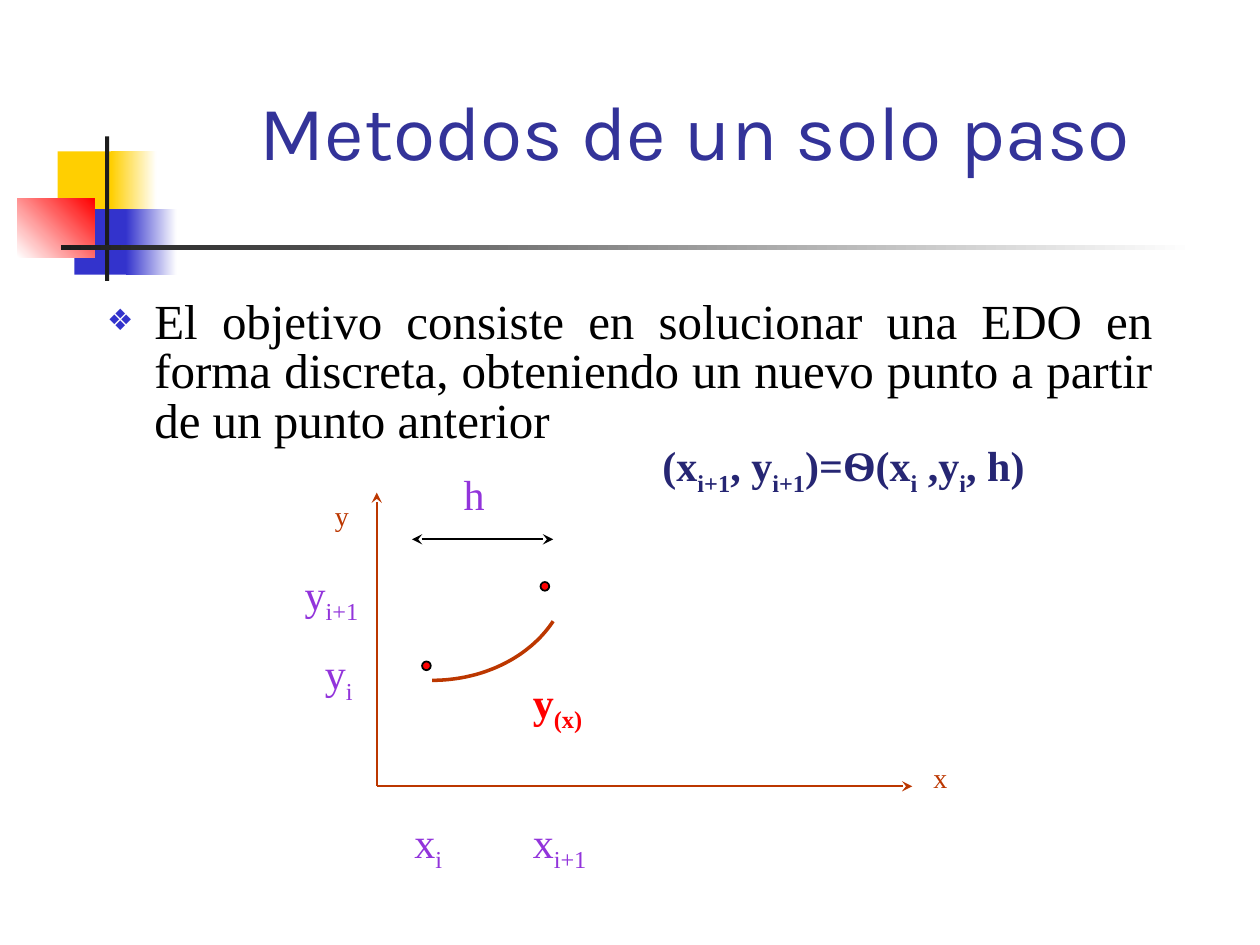
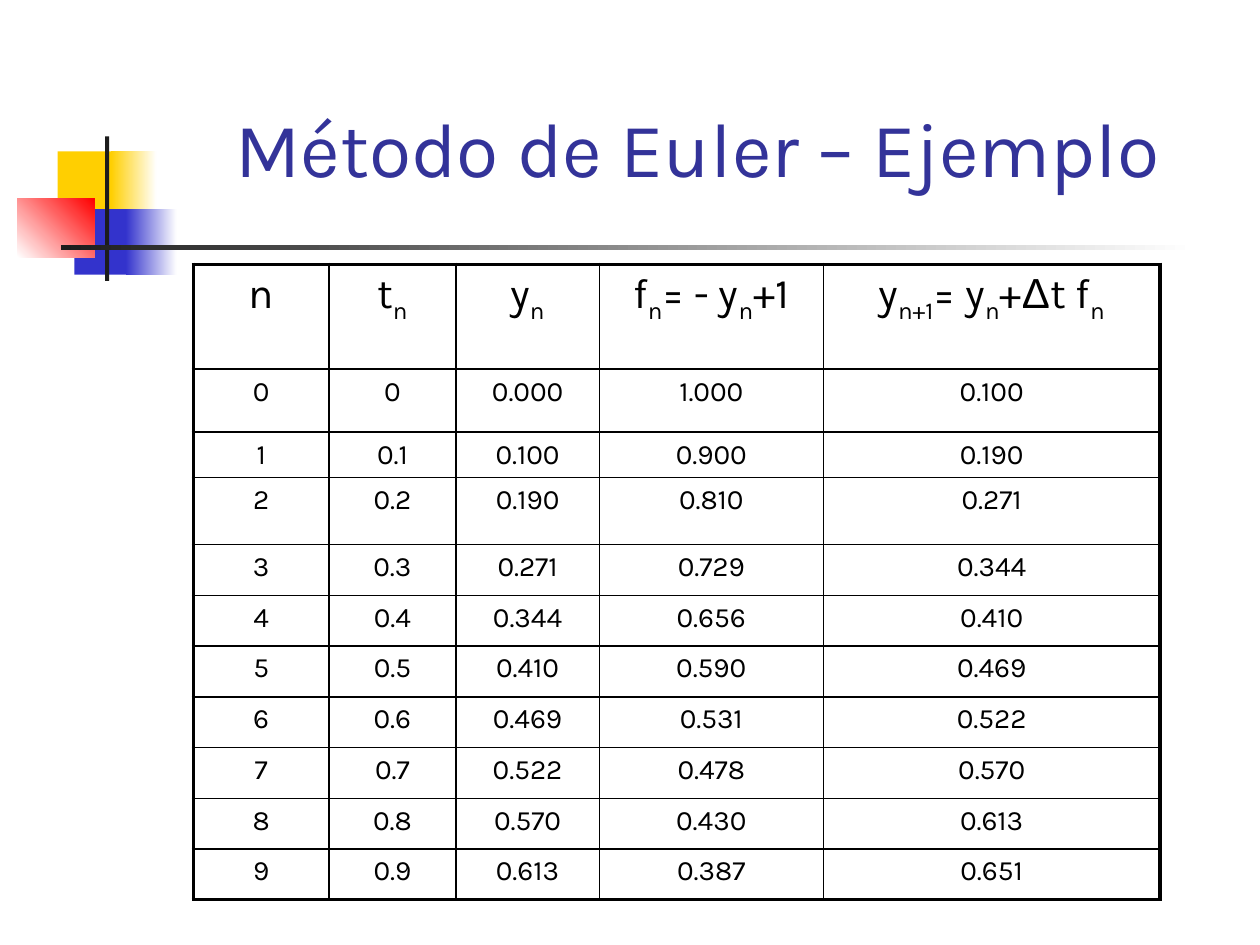
import pptx
import pptx.util
import pptx.dml.color
import pptx.enum.shapes
import pptx.enum.text
import pptx.oxml
import pptx.oxml.ns

Pt = pptx.util.Pt
Shape = pptx.enum.shapes.MSO_SHAPE
Align = pptx.enum.text.PP_ALIGN
Anchor = pptx.enum.text.MSO_ANCHOR
NAMESPACE = pptx.oxml.ns.nsdecls("a")

BLACK, WHITE, INK = "000000", "FFFFFF", "1C1C1C"
YELLOW, BLUE, RED = "FFCF01", "3333CC", "FF0000"
TITLE_BLUE, FORMULA_BLUE = "333399", "262673"
RUST, PURPLE = "BC3700", "9234DB"
SANS, SERIF, SYMBOL = "Karla", "Times New Roman", "Arial"

# Emblem beside every title: left, top, width, height, colours, gradient angle
EMBLEM = [
    (33, 86.5, 34.5, 37.5, [YELLOW], 0),
    (63.5, 86.5, 26, 37.5, [YELLOW, WHITE], 0),
    (42.5, 119.5, 33, 37.5, [BLUE], 0),
    (72, 119.5, 29, 37.5, [BLUE, WHITE], 0),
    (10, 113.5, 44, 33.5, [WHITE, RED], 45),
    (60, 78, 2.4, 82.5, [INK], 0),
    (34.8, 140, 648, 2.8, [INK, WHITE], 0),
]

STEP_TITLE = "Metodos de un solo paso"
OBJECTIVE = ("El objetivo consiste en solucionar una EDO en forma discreta, "
             "obteniendo un nuevo punto a partir de un punto anterior")

# Parts between bars alternate: normal, subscript, normal, ...
# text, left, top, width, height, size, colour, bold
PLOT_LABELS = [
    ("y", 184.3, 281.5, 22.3, 26.6, 16, RUST, False),
    ("x", 526.3, 431.3, 22.3, 26.6, 16, RUST, False),
    ("y|i", 178.6, 366.5, 31, 36.5, 24, PURPLE, False),
    ("h", 257.8, 264.2, 26.6, 36.5, 24, PURPLE, False),
    ("y|i+1", 167, 321.1, 48.2, 36.5, 24, PURPLE, False),
    ("x|i", 229.7, 463, 31, 36.5, 24, PURPLE, False),
    ("x|i+1", 297.4, 463, 48.2, 36.5, 24, PURPLE, False),
    ("y|(x)", 297.4, 383, 45.4, 36.5, 24, RED, True),
    ("(x|i+1|, y|i+1|)=Ѳ(x|i| ,y|i|, h)", 371.5, 247.7, 230.4, 36.5, 24, FORMULA_BLUE, True),
]
ORIGIN = (215.3, 449.3)
# start, end, colour, arrowheads
ARROWS = [
    ((215.3, 281.5), ORIGIN, RUST, ["headEnd"]),
    (ORIGIN, (521.3, 449.3), RUST, ["tailEnd"]),
    ((235.4, 308.2), (316.1, 308.2), BLACK, ["headEnd", "tailEnd"]),
]
POINTS = [(241.2, 378), (308.9, 332.6)]
POINT_SIZE = 5
CURVE_CONTROLS = [(316.1, 355), (302.4, 375.8), (275.8, 388.8), (247, 388.8)]
CURVE_STEPS = 40

EULER_TITLE = "Método de Euler – Ejemplo"
EULER_HEADER = ["n", "t|n", "y|n", "f|n|= - y|n|+1", "y|n+1|= y|n|+Δt f|n"]
EULER_ROWS = [
    ["0", "0", "0.000", "1.000", "0.100"],
    ["1", "0.1", "0.100", "0.900", "0.190"],
    ["2", "0.2", "0.190", "0.810", "0.271"],
    ["3", "0.3", "0.271", "0.729", "0.344"],
    ["4", "0.4", "0.344", "0.656", "0.410"],
    ["5", "0.5", "0.410", "0.590", "0.469"],
    ["6", "0.6", "0.469", "0.531", "0.522"],
    ["7", "0.7", "0.522", "0.478", "0.570"],
    ["8", "0.8", "0.570", "0.430", "0.613"],
    ["9", "0.9", "0.613", "0.387", "0.651"],
]
COLUMN_WIDTHS = [77.5, 72.5, 82, 128, 192.5]
ROW_HEIGHTS = [60, 36, 26, 38.2] + [29] * 7


def rgb(color):
    return pptx.dml.color.RGBColor.from_string(color)


def lengths(values):
    return [Pt(value) for value in values]


def add_xml(parent, tag, content="", **attributes):
    text = " ".join(f'{name}="{value}"' for name, value in attributes.items())
    parent.append(pptx.oxml.parse_xml(f"<a:{tag} {NAMESPACE} {text}>{content}</a:{tag}>"))


def solid(color):
    return f'<a:solidFill><a:srgbClr val="{color}"/></a:solidFill>'


def write(para, text, color, **font_values):
    """Write text whose bars switch subscript on and off; Δ gets the symbol font."""
    for index, part in enumerate(text.split("|")):
        for piece in filter(None, part.partition("Δ")):
            span = para.add_run()
            span.text = piece
            for name, value in font_values.items():
                setattr(span.font, name, value)
            if piece == "Δ":
                span.font.name = SYMBOL
            span.font.color.rgb = rgb(color)
            if index % 2:
                span._r.get_or_add_rPr().set("baseline", "-25000")


def place(box, position, anchor=Anchor.TOP):
    box.left, box.top, box.width, box.height = lengths(position)
    frame = box.text_frame
    frame.auto_size = pptx.enum.text.MSO_AUTO_SIZE.NONE
    frame.vertical_anchor = anchor
    return frame.paragraphs[0]


def add_plain_shape(slide, kind, position):
    shape = slide.shapes.add_shape(kind, *lengths(position))
    shape.shadow.inherit = False
    return shape


def add_titled_slide(deck, layout, title, position, anchor, alignment):
    slide = deck.slides.add_slide(deck.slide_layouts[layout])
    for *place_on_slide, colors, angle in EMBLEM:
        block = add_plain_shape(slide, Shape.RECTANGLE, place_on_slide)
        block.line.fill.background()
        if len(colors) == 1:
            block.fill.solid()
            block.fill.fore_color.rgb = rgb(colors[0])
        else:
            block.fill.gradient()
            block.fill.gradient_angle = angle
            for stop, color in zip(block.fill.gradient_stops, colors):
                stop.color.rgb = rgb(color)
    para = place(slide.shapes.title, position, anchor)
    para.alignment = alignment
    write(para, title, TITLE_BLUE, name=SANS, size=Pt(44))
    return slide


def add_objective(slide):
    para = place(slide.placeholders[1], (54, 167.8, 612, 90))
    for name, value in dict(alignment=Align.JUSTIFY, line_spacing=0.84,
                            space_before=Pt(2)).items():
        setattr(para, name, value)
    properties = para._p.get_or_add_pPr()
    properties.set("marL", str(Pt(27)))
    properties.set("indent", str(Pt(-27)))
    add_xml(properties, "buClr", f'<a:srgbClr val="{BLUE}"/>')
    add_xml(properties, "buSzPct", val=60000)
    add_xml(properties, "buChar", char="❖")
    write(para, OBJECTIVE, BLACK, name=SERIF, size=Pt(28))


def add_arrow(slide, start, end, color, heads):
    arrow = slide.shapes.add_connector(
        pptx.enum.shapes.MSO_CONNECTOR.STRAIGHT, *lengths(start + end))
    arrow.line.color.rgb = rgb(color)
    arrow.line.width = Pt(1)
    for head in heads:
        add_xml(arrow.get_or_add_ln(), head, type="stealth")
    add_xml(arrow._element.spPr, "effectLst")


def bezier_point(t):
    weights = ((1 - t) ** 3, 3 * t * (1 - t) ** 2, 3 * t ** 2 * (1 - t), t ** 3)
    return tuple(Pt(sum(weight * control[axis]
                        for weight, control in zip(weights, CURVE_CONTROLS)))
                 for axis in (0, 1))


def add_curve(slide):
    first, *rest = [bezier_point(step / CURVE_STEPS) for step in range(CURVE_STEPS + 1)]
    builder = slide.shapes.build_freeform(*first)
    builder.add_line_segments(rest, close=False)
    curve = builder.convert_to_shape()
    curve.shadow.inherit = False
    curve.fill.background()
    curve.line.color.rgb = rgb(RUST)
    curve.line.width = Pt(2)


def add_plot(slide):
    for arrow in ARROWS:
        add_arrow(slide, *arrow)
    add_curve(slide)
    for left, top in POINTS:
        point = add_plain_shape(slide, Shape.OVAL, (left, top, POINT_SIZE, POINT_SIZE))
        point.fill.solid()
        point.fill.fore_color.rgb = rgb(RED)
        point.line.color.rgb = rgb(BLACK)
        point.line.width = Pt(1)
    for text, left, top, width, height, size, color, bold in PLOT_LABELS:
        position = (left, top, width, height)
        label = slide.shapes.add_textbox(*lengths(position))
        label.text_frame.word_wrap = False
        write(label.text_frame.paragraphs[0], text, color, name=SERIF, size=Pt(size), bold=bold)


def set_borders(cell, edges):
    """Draw thin cell borders, thick where the side is an outer edge of the table."""
    properties = cell._tc.get_or_add_tcPr()
    for side, is_outer in edges.items():
        add_xml(properties, side, solid(BLACK), w=Pt(2.25 if is_outer else 1))


def add_euler_table(slide):
    rows = [EULER_HEADER] + EULER_ROWS
    last_row, last_column = len(rows) - 1, len(EULER_HEADER) - 1
    position = (110.5, 151, sum(COLUMN_WIDTHS), sum(ROW_HEIGHTS))
    table = slide.shapes.add_table(len(rows), len(EULER_HEADER), *lengths(position)).table
    table.first_row = table.horz_banding = False
    for column, width in zip(table.columns, COLUMN_WIDTHS):
        column.width = Pt(width)
    for row, height in zip(table.rows, ROW_HEIGHTS):
        row.height = Pt(height)
    for r, values in enumerate(rows):
        for c, value in enumerate(values):
            cell = table.cell(r, c)
            set_borders(cell, dict(lnL=c == 0, lnR=c == last_column,
                                   lnT=r == 0, lnB=r == last_row))
            cell.fill.background()
            para = cell.text_frame.paragraphs[0]
            para.alignment = Align.CENTER
            write(para, value, BLACK, name=SANS, size=Pt(16 if r else 24))


def main():
    deck = pptx.Presentation()
    deck.slide_width, deck.slide_height = Pt(720), Pt(540)
    step_slide = add_titled_slide(deck, 1, STEP_TITLE, (90.7, 16.5, 613.5, 115),
                                  Anchor.MIDDLE, Align.CENTER)
    add_objective(step_slide)
    add_plot(step_slide)
    euler_slide = add_titled_slide(deck, 5, EULER_TITLE, (127.5, 18, 562.5, 96),
                                   Anchor.BOTTOM, Align.LEFT)
    add_euler_table(euler_slide)
    deck.save("out.pptx")


if __name__ == "__main__":
    main()
